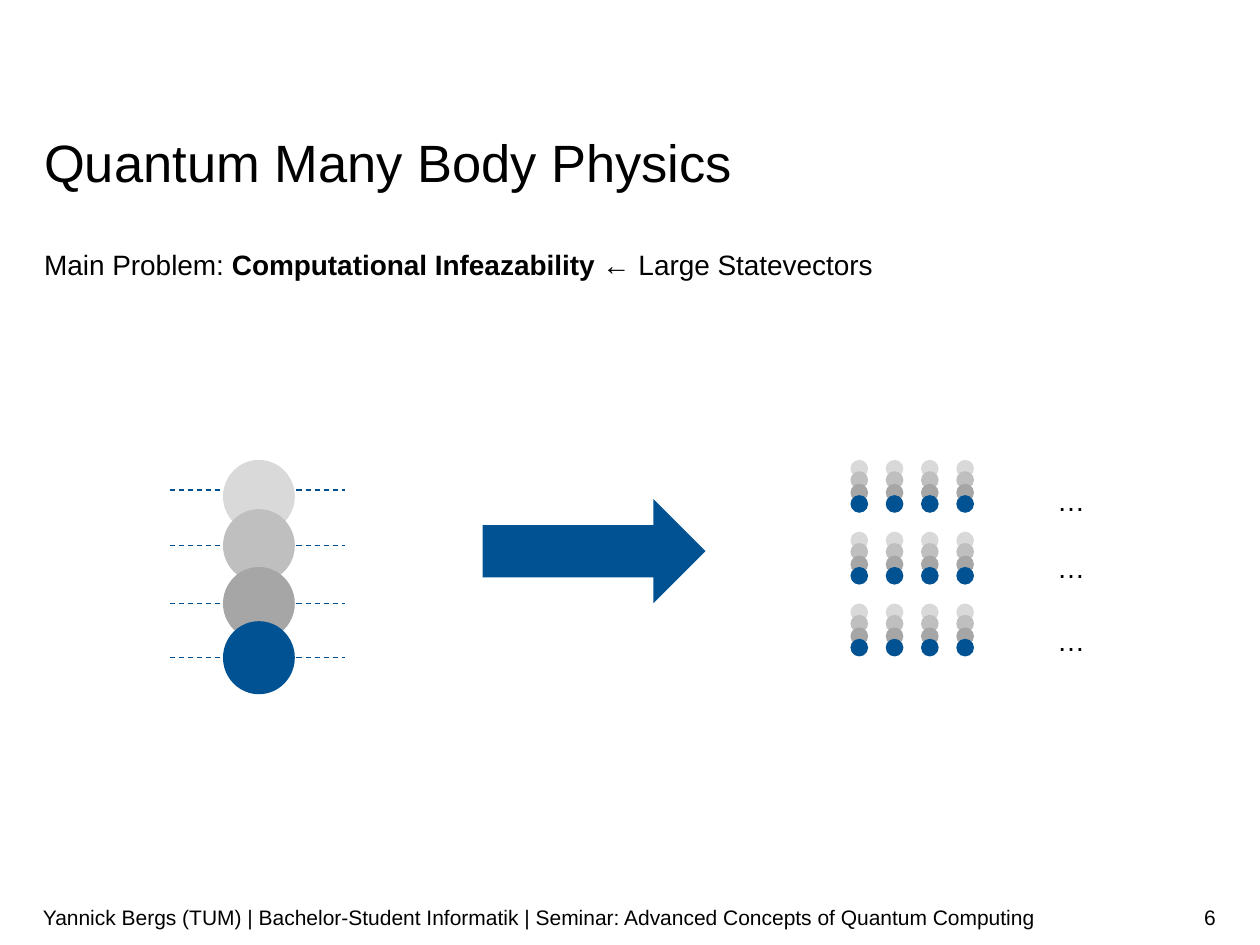
"""Build the slide on many body physics and its growing statevectors."""
from typing import NamedTuple

from lxml import etree
from pptx import Presentation
from pptx.dml.color import RGBColor
from pptx.enum.dml import MSO_LINE
from pptx.enum.shapes import MSO_CONNECTOR, MSO_SHAPE
from pptx.enum.text import MSO_ANCHOR, MSO_AUTO_SIZE, PP_ALIGN
from pptx.oxml.ns import qn
from pptx.util import Pt

PX = 9144
FONT = "Arial"
OVAL, ARROW = MSO_SHAPE.OVAL, MSO_SHAPE.RIGHT_ARROW
STRAIGHT, DASH = MSO_CONNECTOR.STRAIGHT, MSO_LINE.DASH
TOP, MIDDLE = MSO_ANCHOR.TOP, MSO_ANCHOR.MIDDLE
LEFT, RIGHT = PP_ALIGN.LEFT, PP_ALIGN.RIGHT
GROW, FIXED = MSO_AUTO_SIZE.SHAPE_TO_FIT_TEXT, MSO_AUTO_SIZE.NONE
COLORS = {
    "text": "000000",
    "light": "D9D9D9",
    "mid": "BFBFBF",
    "dark": "A6A6A6",
    "blue": "005293",
    "line": "005090",
}


class Box(NamedTuple):
    x: int
    y: int
    w: int
    h: int


class Particle(NamedTuple):
    color: str
    y: int
    level: int
    offset: int


class Label(NamedTuple):
    box: Box
    runs: tuple
    size: int
    spacing: float = 1.0
    inset: int = 0
    anchor: MSO_ANCHOR = TOP
    align: PP_ALIGN = LEFT
    wrap: bool = True
    autosize: MSO_AUTO_SIZE = FIXED


PARTICLES = [
    Particle("light", 365, 389, 0),
    Particle("mid", 404, 433, 9),
    Particle("dark", 450, 479, 19),
    Particle("blue", 493, 522, 28),
]
DOT_ROWS = [365 + 57 * i for i in range(3)]
DOT_COLUMNS = [675 + 28 * i for i in range(4)]
ELLIPSIS_ROWS = (380, 433, 491)
LABELS = [
    Label(Box(35, 193, 931, 78),
          ("Main Problem: ", "Computational Infeazability ← ", "Large Statevectors"),
          16, spacing=1.14),
    Label(Box(741, 708, 224, 40), ("6",), 12, inset=5, anchor=MIDDLE, align=RIGHT),
    Label(Box(34, 708, 798, 40),
          ("Yannick Bergs (TUM) | Bachelor-Student Informatik | "
           "Seminar: Advanced Concepts of Quantum Computing",),
          12, inset=5, anchor=MIDDLE),
    *[Label(Box(839, y, 22, 28), ("…",), 16, spacing=1.14, wrap=False, autosize=GROW)
      for y in ELLIPSIS_ROWS],
]
TITLE = Label(Box(35, 109, 931, 45), ("Quantum Many Body Physics",), 30,
              spacing=Pt(32), autosize=GROW)


def rgb(name: str) -> RGBColor:
    return RGBColor.from_string(COLORS[name])


def emu(box: Box) -> list[int]:
    return [v * PX for v in box]


def add_filled(slide, kind: MSO_SHAPE, box: Box, color: str) -> None:
    sp = slide.shapes.add_shape(kind, *emu(box))
    sp.shadow.inherit = False
    sp.fill.solid()
    sp.fill.fore_color.rgb = rgb(color)
    sp.line.fill.background()


def add_level(slide, y: int) -> None:
    cn = slide.shapes.add_connector(STRAIGHT, 135 * PX, y * PX, 274 * PX, y * PX)
    cn.line.color.rgb = rgb("line")
    cn.line.width = Pt(0.75)
    cn.line.dash_style = DASH
    etree.SubElement(cn._element.spPr, qn("a:effectLst"))


def write_label(sp, label: Label) -> None:
    sp.left, sp.top, sp.width, sp.height = emu(label.box)
    tf = sp.text_frame
    tf.margin_left = tf.margin_right = 0
    tf.margin_top = tf.margin_bottom = label.inset * PX
    tf.word_wrap = label.wrap
    tf.auto_size = label.autosize
    tf.vertical_anchor = label.anchor
    p = tf.paragraphs[0]
    p.alignment = label.align
    p.line_spacing = label.spacing
    for i, text in enumerate(label.runs):
        r = p.add_run()
        r.text = text
        r.font.name = FONT
        r.font.size = Pt(label.size)
        r.font.bold = i == 1
        r.font.color.rgb = rgb("text")


def main() -> None:
    prs = Presentation()
    prs.slide_width, prs.slide_height = 1000 * PX, 750 * PX
    slide = prs.slides.add_slide(prs.slide_layouts[5])
    write_label(slide.shapes.title, TITLE)
    for particle in PARTICLES:
        add_level(slide, particle.level)
    for particle in PARTICLES:
        add_filled(slide, OVAL, Box(177, particle.y, 57, 58), particle.color)
    add_filled(slide, ARROW, Box(383, 396, 177, 83), "blue")
    for y in DOT_ROWS:
        for x in DOT_COLUMNS:
            for particle in PARTICLES:
                add_filled(slide, OVAL, Box(x, y + particle.offset, 14, 14), particle.color)
    for label in LABELS:
        write_label(slide.shapes.add_textbox(*emu(label.box)), label)
    prs.save("out.pptx")


if __name__ == "__main__":
    main()
